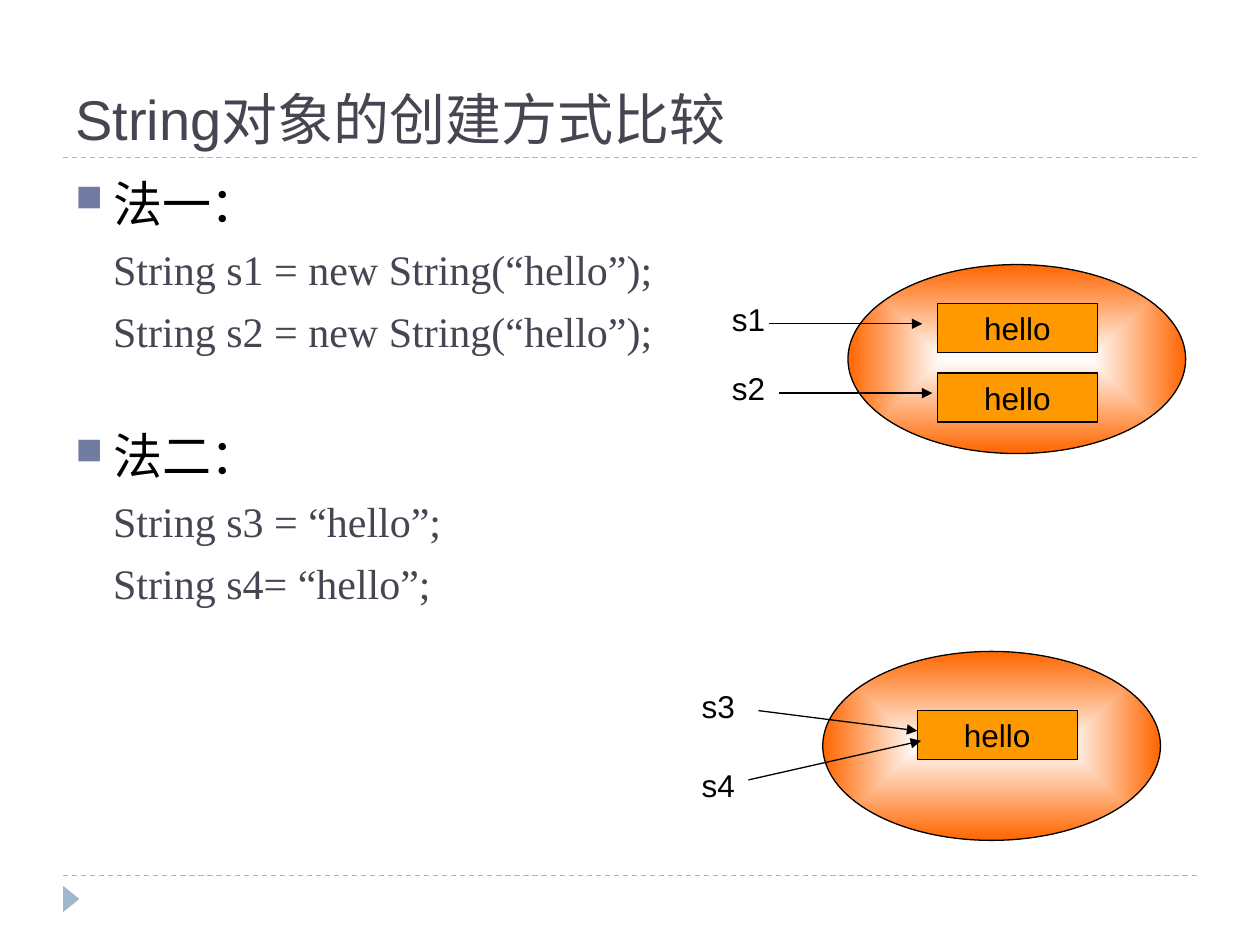
from lxml import etree
from pptx import Presentation
from pptx.dml.color import RGBColor
from pptx.enum.dml import MSO_LINE
from pptx.enum.shapes import MSO_CONNECTOR, MSO_SHAPE
from pptx.enum.text import MSO_ANCHOR, PP_ALIGN
from pptx.oxml import parse_xml
from pptx.oxml.ns import nsdecls, qn
from pptx.util import Inches, Pt

DASH = MSO_LINE.DASH
STRAIGHT = MSO_CONNECTOR.STRAIGHT
ELLIPSE, RECT, TRIANGLE = MSO_SHAPE.OVAL, MSO_SHAPE.RECTANGLE, MSO_SHAPE.ISOSCELES_TRIANGLE
TOP, MIDDLE, BOTTOM = MSO_ANCHOR.TOP, MSO_ANCHOR.MIDDLE, MSO_ANCHOR.BOTTOM
LEFT, CENTER = PP_ALIGN.LEFT, PP_ALIGN.CENTER

BLACK = RGBColor(0x00, 0x00, 0x00)
SLATE = RGBColor(0x46, 0x46, 0x53)
PALE_BLUE = RGBColor(0x9F, 0xB8, 0xCD)
AMBER = RGBColor(0xFF, 0x99, 0x00)
BULLET_COLOR = "727CA3"
SANS, SERIF = "Arial", "Times New Roman"

TITLE = "String对象的创建方式比较"
# heading, space before it in points, code lines
METHODS = [
    ("法一：", 6, ["String s1 = new String(“hello”);", "String s2 = new String(“hello”);"]),
    ("法二：", 40, ["String s3 = “hello”;", "String s4= “hello”;"]),
]
POOL_SIZE = (2.68, 1.5)
BOX_SIZE = (1.27, 0.39)
LABEL_SIZE = (0.55, 0.4)
# memory pool position, object boxes, variable labels, arrows from variable to object
DIAGRAMS = [
    dict(pool=(6.73, 2.1),
         boxes=[(7.44, 2.41), (7.44, 2.96)],
         labels=[("s1", 5.71, 2.33), ("s2", 5.71, 2.88)],
         arrows=[(6.1, 2.57, 7.32, 2.57), (6.18, 3.12, 7.4, 3.12)]),
    dict(pool=(6.53, 5.17),
         boxes=[(7.28, 5.64)],
         labels=[("s3", 5.47, 5.4), ("s4", 5.47, 6.03)],
         arrows=[(6.02, 5.64, 7.28, 5.8), (5.94, 6.19, 7.31, 5.88)]),
]
RULES_Y = [6.95, 1.25]


def write(p, text, size=18, font=SANS, color=BLACK, align=LEFT, before=0):
    p.alignment = align
    p.space_before = Pt(before)
    r = p.add_run()
    r.text = text
    r.font.size = Pt(size)
    r.font.name = font
    r.font.color.rgb = color


def text_box(s, x, y, w, h, anchor=TOP):
    tf = s.shapes.add_textbox(*map(Inches, (x, y, w, h))).text_frame
    tf.word_wrap = True
    tf.vertical_anchor = anchor
    return tf


def set_indent(p, bullet=False):
    pPr = p._p.get_or_add_pPr()
    pPr.set("marL", str(Inches(0.3)))
    pPr.set("indent", str(Inches(-0.3 if bullet else 0)))
    if bullet:
        color = etree.SubElement(pPr, qn("a:buClr"))
        etree.SubElement(color, qn("a:srgbClr")).set("val", BULLET_COLOR)
        etree.SubElement(pPr, qn("a:buSzPct")).set("val", "76000")
        etree.SubElement(pPr, qn("a:buChar")).set("char", "■")


def line(s, x1, y1, x2, y2, color=BLACK, dashed=False, arrow=False):
    c = s.shapes.add_connector(STRAIGHT, *map(Inches, (x1, y1, x2, y2)))
    c.line.color.rgb = color
    c.line.width = Pt(0.75)
    if dashed:
        c.line.dash_style = DASH
    if arrow:
        etree.SubElement(c.line._get_or_add_ln(), qn("a:tailEnd")).set("type", "triangle")
    etree.SubElement(c._element.spPr, qn("a:effectLst"))


def shape(s, kind, x, y, w, h, fill=None, outlined=True):
    sp = s.shapes.add_shape(kind, *map(Inches, (x, y, w, h)))
    sp.shadow.inherit = False
    if fill is not None:
        sp.fill.solid()
        sp.fill.fore_color.rgb = fill
    if outlined:
        sp.line.color.rgb = BLACK
        sp.line.width = Pt(0.75)
    else:
        sp.line.fill.background()
    return sp


def glow_fill(sp):
    """Fill with a gradient from a white centre to an orange edge."""
    sp._element.spPr.find(qn("a:prstGeom")).addnext(parse_xml(
        f'<a:gradFill {nsdecls("a")} rotWithShape="1"><a:gsLst>'
        '<a:gs pos="0"><a:srgbClr val="FFFFFF"/></a:gs>'
        '<a:gs pos="100000"><a:srgbClr val="FF6600"/></a:gs></a:gsLst>'
        '<a:path path="shape"><a:fillToRect l="50000" t="50000" r="50000" b="50000"/>'
        '</a:path></a:gradFill>'))


def draw_diagram(s, pool, boxes, labels, arrows):
    glow_fill(shape(s, ELLIPSE, *pool, *POOL_SIZE))
    for x, y in boxes:
        tf = shape(s, RECT, x, y, *BOX_SIZE, fill=AMBER).text_frame
        tf.word_wrap = False
        tf.vertical_anchor = MIDDLE
        write(tf.paragraphs[0], "hello", align=CENTER)
    for text, x, y in labels:
        write(text_box(s, x, y, *LABEL_SIZE).paragraphs[0], text)
    for ends in arrows:
        line(s, *ends, arrow=True)


def main():
    prs = Presentation()
    prs.slide_width, prs.slide_height = Inches(10), Inches(7.5)
    s = prs.slides.add_slide(prs.slide_layouts[6])

    for y in RULES_Y:
        line(s, 0.5, y, 9.5, y, color=PALE_BLUE, dashed=True)
    marker = shape(s, TRIANGLE, 0.46, 7.07, 0.21, 0.13, fill=PALE_BLUE, outlined=False)
    marker.rotation = 90

    title = text_box(s, 0.5, 0.17, 9, 1.08, anchor=BOTTOM)
    write(title.paragraphs[0], TITLE, size=32, color=SLATE)

    body = text_box(s, 0.5, 1.33, 9, 5.37)
    for i, (heading, before, code) in enumerate(METHODS):
        p = body.add_paragraph() if i else body.paragraphs[0]
        write(p, heading, size=28, font=SERIF, before=before)
        set_indent(p, bullet=True)
        for statement in code:
            p = body.add_paragraph()
            write(p, statement, size=24, font=SERIF, color=SLATE, before=6.4)
            set_indent(p)

    for diagram in DIAGRAMS:
        draw_diagram(s, **diagram)
    prs.save("out.pptx")


if __name__ == "__main__":
    main()
